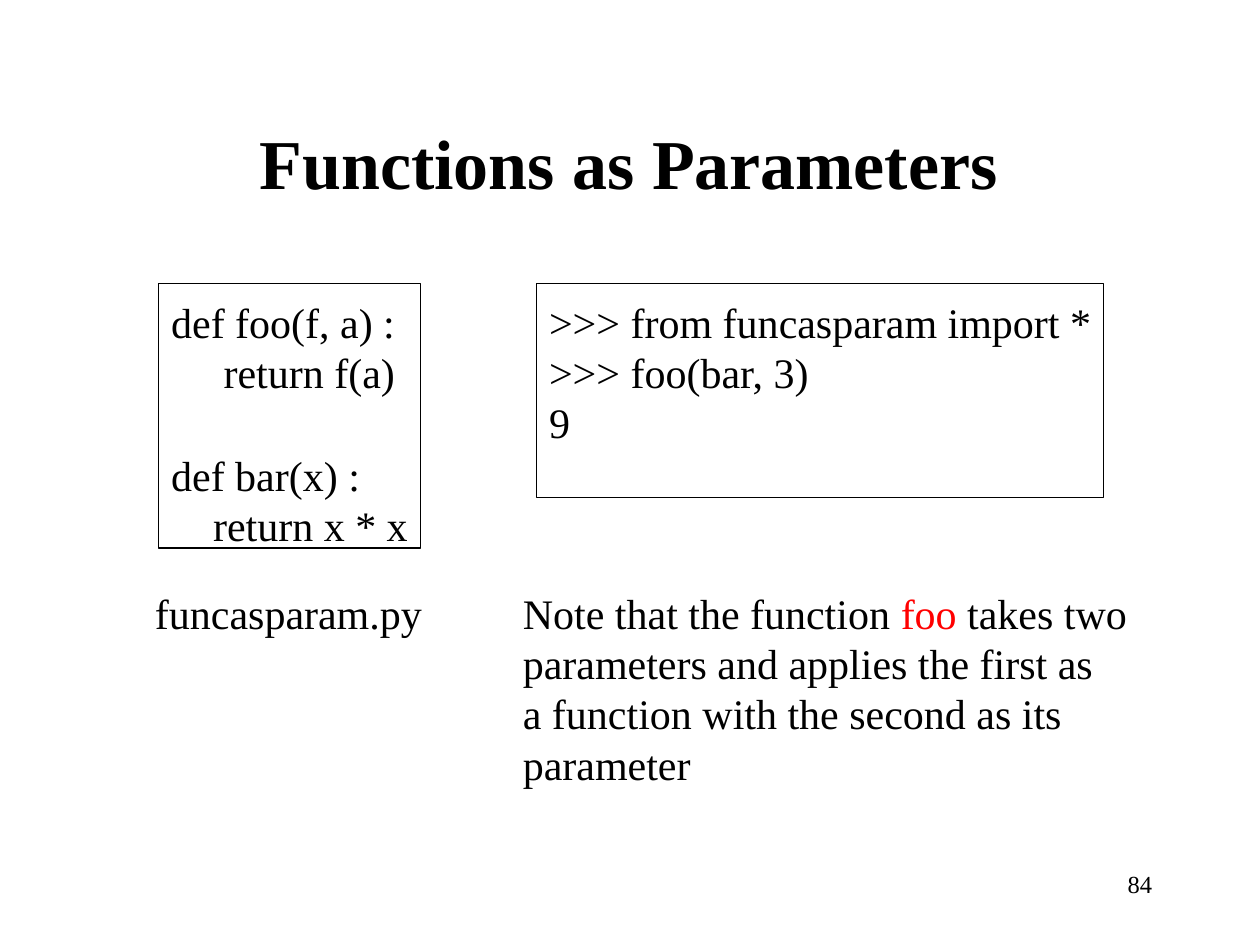
from pptx import Presentation, util as u
from pptx.dml.color import RGBColor
from pptx.enum import shapes, text

BLACK = RGBColor(0, 0, 0)
RED = RGBColor(255, 0, 0)
FONT = "Times New Roman"
CODE_SIZE = 24
FUNCTION_GAP = 30

TITLE = "Functions as Parameters"
CODE_BOXES = [
    ((1.26, 2.25, 2.08, 2.1), [
        ["def foo(f, a) :", "     return f(a)"],
        ["def bar(x) :", "    return x * x"],
    ]),
    ((4.26, 2.25, 4.5, 1.7), [
        [">>> from funcasparam import *", ">>> foo(bar, 3)", "9"],
    ]),
]
NOTE = [
    [("Note that the function ", BLACK), ("foo", RED), (" takes two", BLACK)],
    [("parameters and applies the first as", BLACK)],
    [("a function with the second as its", BLACK)],
    [("parameter", BLACK)],
]
LABELS = [
    ((1.22, 4.65, 2.15, 0.43), [[("funcasparam.py", BLACK)]], CODE_SIZE, 0.01),
    ((4.14, 4.65, 4.83, 1.63), NOTE, CODE_SIZE, 0.01),
    ((8.91, 6.89, 0.28, 0.24), [[("84", BLACK)]], 14, 0.04),
]


def prepare_frame(shape, left=0, top=0.01):
    frame = shape.text_frame
    frame.margin_left, frame.margin_top = u.Inches(left), u.Inches(top)
    frame.margin_right = frame.margin_bottom = 0
    frame.vertical_anchor = text.MSO_ANCHOR.TOP
    frame.auto_size = text.MSO_AUTO_SIZE.NONE
    frame.word_wrap = False
    return frame


def format_paragraph(paragraph, size, color=BLACK, bold=False):
    paragraph.alignment = text.PP_ALIGN.LEFT
    font = paragraph.font
    font.name, font.size, font.bold = FONT, u.Pt(size), bold
    font.color.rgb = color


def add_title(slide):
    title = slide.shapes.title
    title.left, title.top, title.width, title.height = map(
        u.Inches, (2.05, 0.94, 5.88, 0.69))
    frame = prepare_frame(title, 0.01)
    frame.text = TITLE
    format_paragraph(frame.paragraphs[0], 40, bold=True)


def add_code_box(slide, place, functions):
    box = slide.shapes.add_shape(
        shapes.MSO_SHAPE.RECTANGLE, *map(u.Inches, place))
    box.shadow.inherit = False
    box.fill.background()
    box.line.color.rgb = BLACK
    box.line.width = u.Pt(0.75)
    frame = prepare_frame(box, 0.1, 0.1)
    frame.text = "\n".join(line for lines in functions for line in lines)
    for paragraph in frame.paragraphs:
        format_paragraph(paragraph, CODE_SIZE)
    start = 0
    for lines in functions[:-1]:
        start += len(lines)
        frame.paragraphs[start].space_before = u.Pt(FUNCTION_GAP)


def add_label(slide, place, lines, size, left):
    box = slide.shapes.add_textbox(*map(u.Inches, place))
    paragraph = prepare_frame(box, left).paragraphs[0]
    format_paragraph(paragraph, size)
    for number, line in enumerate(lines):
        if number:
            paragraph.add_line_break()
        for words, color in line:
            run = paragraph.add_run()
            run.text = words
            run.font.size = u.Pt(size)
            run.font.color.rgb = color


def main():
    presentation = Presentation()
    presentation.slide_width = u.Inches(10)
    presentation.slide_height = u.Inches(7.5)
    slide = presentation.slides.add_slide(presentation.slide_layouts[5])
    add_title(slide)
    for place, functions in CODE_BOXES:
        add_code_box(slide, place, functions)
    for label in LABELS:
        add_label(slide, *label)
    presentation.save("out.pptx")


if __name__ == "__main__":
    main()
